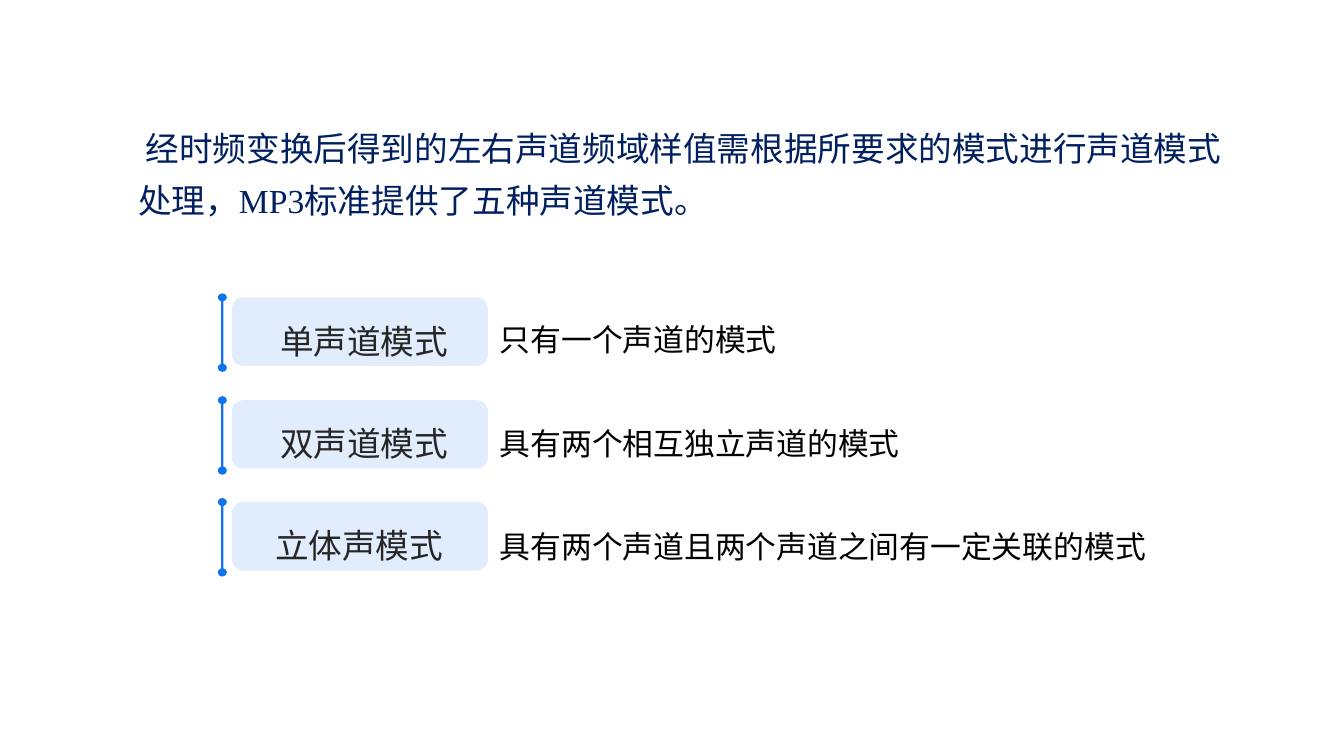
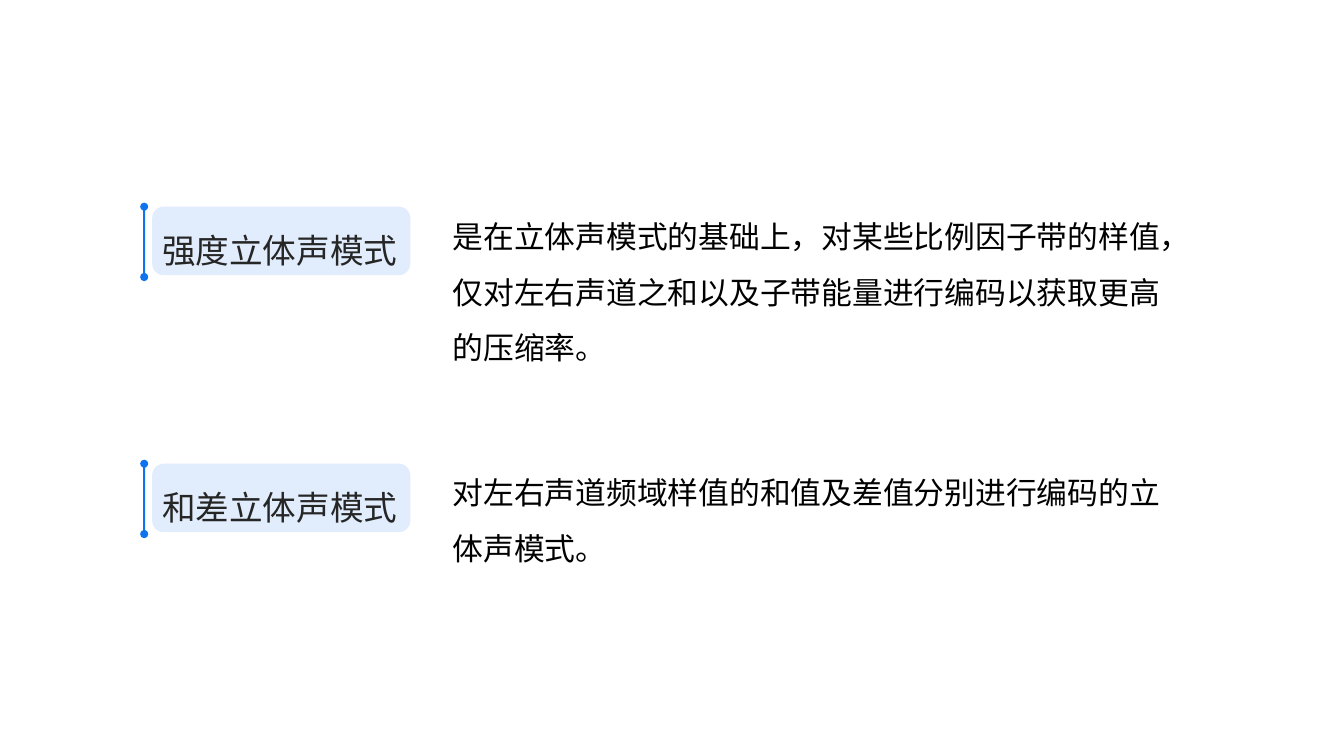
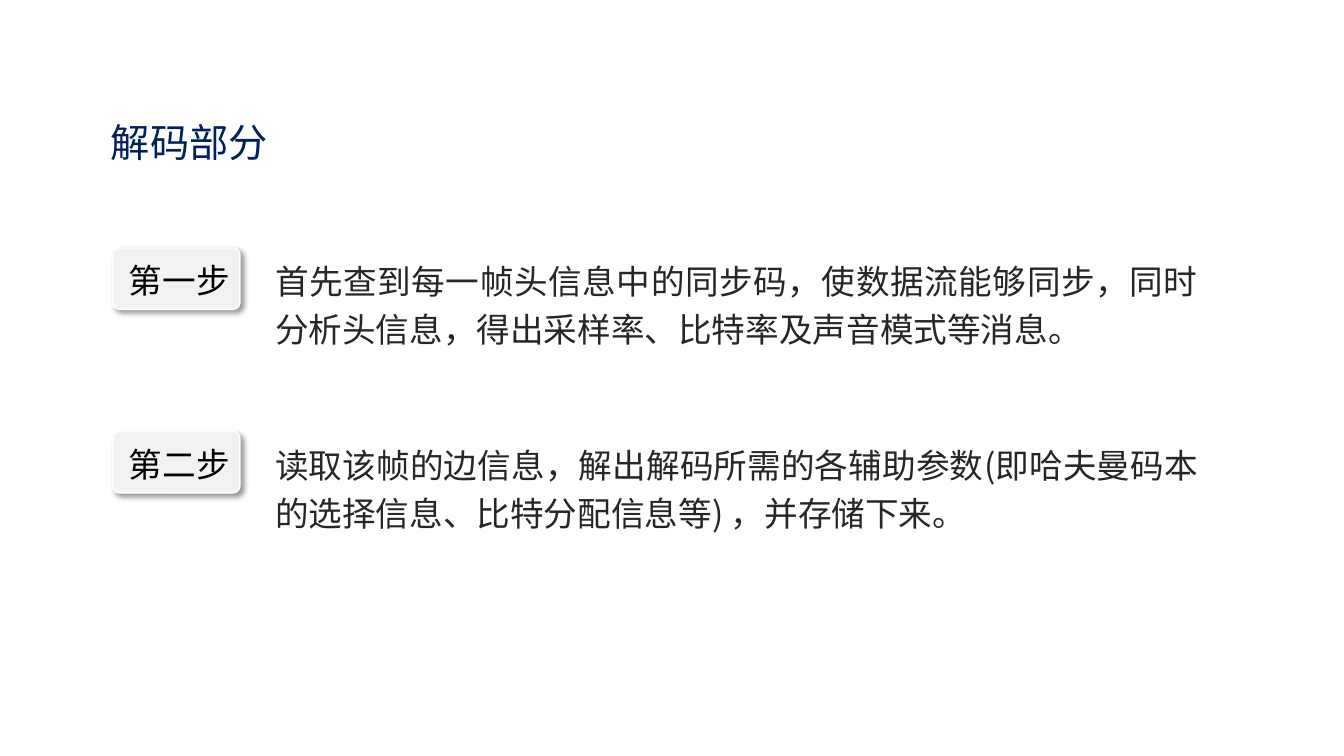
"""Three slides on MP3 channel modes and the first decoding steps."""
from dataclasses import dataclass

from lxml import etree
from pptx import Presentation
from pptx.dml.color import RGBColor
from pptx.enum.shapes import MSO_SHAPE
from pptx.enum.text import MSO_ANCHOR, MSO_AUTO_SIZE, PP_ALIGN
from pptx.oxml.ns import qn
from pptx.util import Pt

PX = 9144
ROUND = MSO_SHAPE.ROUNDED_RECTANGLE
TOP = MSO_ANCHOR.TOP
FIXED = MSO_AUTO_SIZE.NONE
LEFT, JUST = PP_ALIGN.LEFT, PP_ALIGN.JUSTIFY


@dataclass(frozen=True)
class Theme:
    blue: str = "0F73EE"
    navy: str = "002060"
    black: str = "000000"
    ink: str = "262626"
    white: str = "FFFFFF"
    pale: str = "F2F2F2"
    sans: str = "Noto Sans CJK SC"
    serif: str = "Times New Roman"
    head: int = 28
    text: int = 24
    note: int = 22


T = Theme()
HALF = [(0, 0), (0.6, 0), (1, 2), (1, 4), (1, 6), (0.7, 7), (0.25, 8),
        (0.25, 8), (0.25, 70), (0.25, 70), (0.7, 70), (1, 72), (1, 74),
        (1, 76), (0.6, 78), (0, 78)]
PIN = HALF + [(-x, y) for x, y in HALF[-2::-1]]


def write(box, area, runs, size, ink, space=1.0, align=LEFT, level=0):
    """Place a text shape and fill it run by run."""
    box.left, box.top, box.width, box.height = [n * PX for n in area]
    frame = box.text_frame
    frame.word_wrap = True
    frame.auto_size = FIXED
    frame.vertical_anchor = TOP
    para = frame.paragraphs[0]
    para.level = level
    para.alignment = align
    para.line_spacing = space
    if level:
        props = para._p.get_or_add_pPr()
        props.set("marL", str(50 * PX))
        props.set("indent", "0")
    for words, face in runs:
        run = para.add_run()
        run.text = words
        run.font.size = Pt(size)
        run.font.name = face
        run.font.color.rgb = RGBColor.from_string(ink)
        east = etree.SubElement(run._r.get_or_add_rPr(), qn("a:ea"))
        east.set("typeface", T.sans)


def mode(slide, pin, card, label, name, area, note):
    """Draw one channel mode: pin, tinted card, name and note."""
    left, top, wide = card
    group = slide.shapes.add_group_shape().shapes
    tile = group.add_shape(ROUND, left * PX, top * PX, wide * PX, 68 * PX)
    tile.shadow.inherit = False
    tile.fill.solid()
    tile.fill.fore_color.rgb = RGBColor.from_string(T.blue)
    tint = tile.fill._xPr.find(".//" + qn("a:srgbClr"))
    etree.SubElement(tint, qn("a:alpha")).set("val", "12000")
    tile.line.fill.background()

    edge, span = pin
    dots = [((edge + span / 2 * (1 + x)) * PX, (top - 4 + y) * PX)
            for x, y in PIN]
    draft = group.build_freeform(*dots[0], scale=1.0)
    draft.add_line_segments(dots[1:], close=True)
    rod = draft.convert_to_shape()
    legs = list(rod._element.iter(qn("a:lnTo")))
    for first, *rest in zip(legs[::3], legs[1::3], legs[2::3]):
        first.tag = qn("a:cubicBezTo")
        for leg in rest:
            first.append(leg[0])
            leg.getparent().remove(leg)
    rod.shadow.inherit = False
    rod.fill.solid()
    rod.fill.fore_color.rgb = RGBColor.from_string(T.blue)
    rod.line.fill.background()

    write(group.add_textbox(0, 0, 0, 0), (label, top - 2, 256, 64),
          [(name, T.sans)], T.text, T.ink, 1.5)
    write(slide.shapes.add_textbox(0, 0, 0, 0), area,
          [(note, T.serif)], T.note, T.black, 1.5, level=1)


deck = Presentation()
deck.slide_width, deck.slide_height = 1333 * PX, 750 * PX
titled, blank = deck.slide_layouts[5], deck.slide_layouts[6]

slide = deck.slides.add_slide(titled)
write(slide.shapes.title, (127, 110, 1125, 110), [
    (" 经时频变换后得到的左右声道频域样值需根据所要求的模式进行声道模式处理，", T.sans),
    ("MP3", T.serif),
    ("标准提供了五种声道模式。", T.sans),
], T.text, T.navy, 1.3)
basic = [
    ("单声道模式", 268, "只有一个声道的模式", 432),
    ("双声道模式", 268, "具有两个相互独立声道的模式", 596),
    ("立体声模式", 263, "具有两个声道且两个声道之间有一定关联的模式", 901),
]
for i, (name, label, note, wide) in enumerate(basic):
    mode(slide, (216, 9), (230, 295 + (203 * i + 1) // 2, 254), label, name,
         (436, 295 + (205 * i + 1) // 2, wide, 60), note)

slide = deck.slides.add_slide(blank)
joint = [
    ("强度立体声模式", "是在立体声模式的基础上，对某些比例因子带的样值，"
     "仅对左右声道之和以及子带能量进行编码以获取更高的压缩率。", 171),
    ("和差立体声模式", "对左右声道频域样值的和值及差值分别进行编码的立体声模式。", 115),
]
for i, (name, note, high) in enumerate(joint):
    mode(slide, (139, 8), (151, 205 + 255 * i, 256), 151, name,
         (389, 193 + 254 * i, 793, high), note)

slide = deck.slides.add_slide(titled)
write(slide.shapes.title, (100, 112, 176, 57), [("解码部分", T.serif)],
      T.head, T.navy)
slide.shapes.title.text_frame.word_wrap = False
steps = [
    ("第一步", "首先查到每一帧头信息中的同步码，使数据流能够同步，"
     "同时分析头信息，得出采样率、比特率及声音模式等消息。"),
    ("第二步", "读取该帧的边信息，解出解码所需的各辅助参数(即哈夫曼码本的选择信息、"
     "比特分配信息等) ，并存储下来。"),
]
for i, (name, note) in enumerate(steps):
    top = 246 + 182 * i
    group = slide.shapes.add_group_shape().shapes
    key = group.add_shape(ROUND, 112 * PX, top * PX, 126 * PX, 61 * PX)
    key.adjustments[0] = 0.11
    key.fill.solid()
    key.fill.fore_color.rgb = RGBColor.from_string(T.pale)
    key.line.color.rgb = RGBColor.from_string(T.white)
    key.line.width = Pt(1)
    key.shadow.inherit = False
    glow = etree.SubElement(
        key._element.spPr.find(qn("a:effectLst")), qn("a:outerShdw"),
        blurRad=str(Pt(4)), dist=str(Pt(3)), dir="2700000",
        algn="tl", rotWithShape="0")
    shade = etree.SubElement(glow, qn("a:srgbClr"), val=T.black)
    etree.SubElement(shade, qn("a:alpha"), val="40000")
    write(group.add_textbox(0, 0, 0, 0), (118, top + 7, 124, 50),
          [(name, T.sans)], T.text, T.black)
    write(slide.shapes.add_textbox(0, 0, 0, 0), (263, top, 935, 107),
          [(note, T.sans)], T.text, T.ink, 1.2, JUST)

deck.save("out.pptx")
